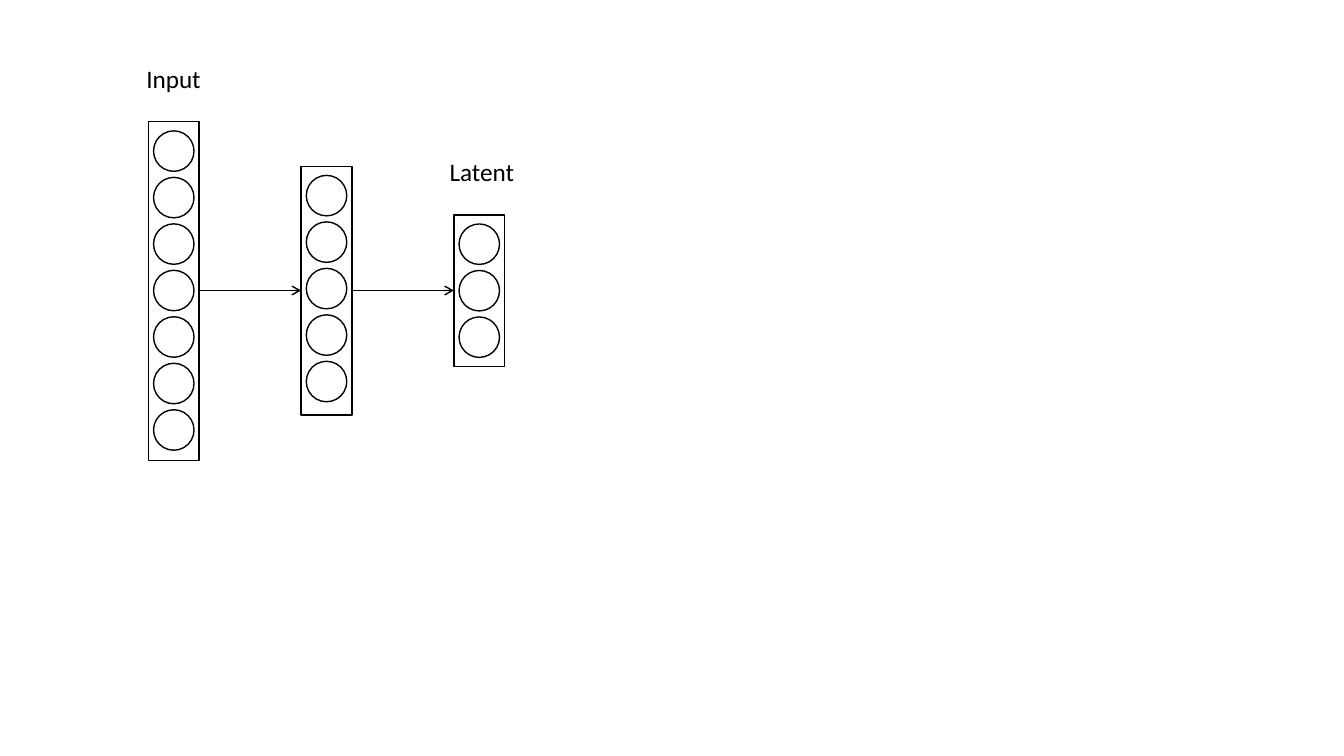
from dataclasses import dataclass

from lxml import etree
from pptx import Presentation
from pptx.dml.color import RGBColor
from pptx.enum import shapes, text
from pptx.oxml import ns
from pptx.util import Pt

COLORS = {"ink": "000000"}
FONT = "Calibri"
LAYER_WIDTH = 36.3
NEURON_SIZE = 28.9
NEURON_PITCH = 33.2
NEURON_INSET = 3.7
NEURON_TOP_GAP = 6.5
ARROW_Y = 207.5


@dataclass(frozen=True)
class Layer:
    left: float
    top: float
    height: float
    neurons: int


@dataclass(frozen=True)
class Label:
    caption: str
    left: float
    top: float
    width: float


LAYERS = [
    Layer(106, 87, 242, 7),
    Layer(215.1, 118.8, 177.8, 5),
    Layer(324.2, 153.5, 108.2, 3),
]
LABELS = [
    Label("Input", 97.4, 42, 54),
    Label("Latent", 314, 108.2, 61.2),
]


def ink() -> RGBColor:
    return RGBColor.from_string(COLORS["ink"])


def add_outline(slide, preset, left: float, top: float, width: float, height: float) -> None:
    """Draw an unfilled preset shape with a thin line."""
    outline = slide.shapes.add_shape(preset, Pt(left), Pt(top), Pt(width), Pt(height))
    outline.shadow.inherit = False
    outline.fill.background()
    outline.line.color.rgb = ink()
    outline.line.width = Pt(1)


def add_layer(slide, layer: Layer) -> None:
    add_outline(slide, shapes.MSO_SHAPE.RECTANGLE,
                layer.left, layer.top, LAYER_WIDTH, layer.height)
    for index in range(layer.neurons):
        add_outline(slide, shapes.MSO_SHAPE.OVAL, layer.left + NEURON_INSET,
                    layer.top + NEURON_TOP_GAP + index * NEURON_PITCH,
                    NEURON_SIZE, NEURON_SIZE)


def add_arrow(slide, source: Layer, target: Layer) -> None:
    arrow = slide.shapes.add_connector(
        shapes.MSO_CONNECTOR.STRAIGHT, Pt(source.left + LAYER_WIDTH), Pt(ARROW_Y),
        Pt(target.left), Pt(ARROW_Y))
    arrow.line.color.rgb = ink()
    arrow.line.width = Pt(1)
    etree.SubElement(arrow.line._get_or_add_ln(), ns.qn("a:tailEnd"), type="arrow")
    etree.SubElement(arrow._element.spPr, ns.qn("a:effectLst"))


def add_text(slide, caption: str, *, left: float, top: float, width: float,
             height: float = 29.1, size: float = 18) -> None:
    box = slide.shapes.add_textbox(Pt(left), Pt(top), Pt(width), Pt(height))
    frame = box.text_frame
    frame.word_wrap = False
    frame.auto_size = text.MSO_AUTO_SIZE.SHAPE_TO_FIT_TEXT
    run = frame.paragraphs[0].add_run()
    run.text = caption
    run.font.name = FONT
    run.font.size = Pt(size)
    run.font.color.rgb = ink()


def main() -> None:
    deck = Presentation()
    deck.slide_width, deck.slide_height = Pt(960), Pt(540)
    slide = deck.slides.add_slide(deck.slide_layouts[6])
    for layer in LAYERS:
        add_layer(slide, layer)
    for source, target in zip(LAYERS, LAYERS[1:]):
        add_arrow(slide, source, target)
    for label in LABELS:
        add_text(slide, label.caption, left=label.left, top=label.top, width=label.width)
    deck.save("out.pptx")


if __name__ == "__main__":
    main()
